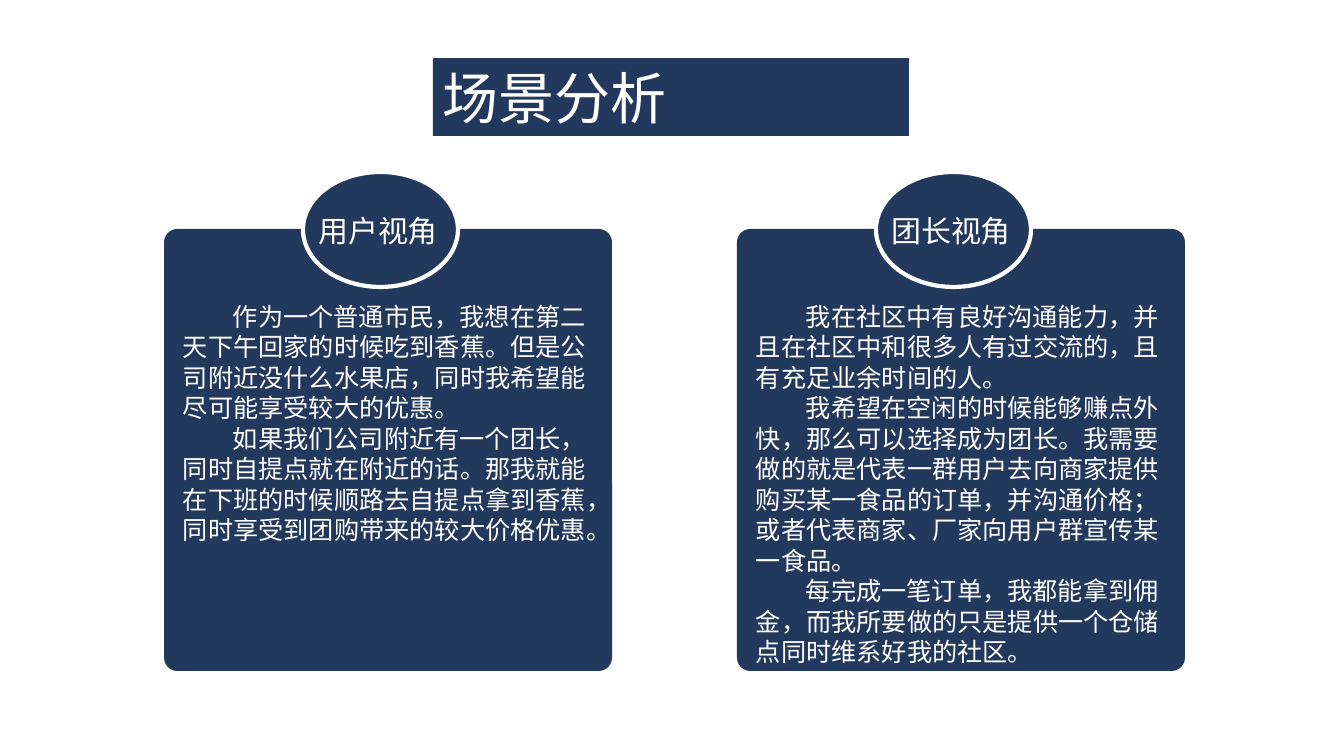
import pptx
import pptx.dml.color
import pptx.enum.shapes
import pptx.enum.text
import pptx.oxml
import pptx.oxml.ns
import pptx.util

NAVY = pptx.dml.color.RGBColor(0x22, 0x38, 0x5C)
WHITE = pptx.dml.color.RGBColor(0xFF, 0xFF, 0xFF)
SHAPE = pptx.enum.shapes.MSO_SHAPE
ALIGN = pptx.enum.text.PP_ALIGN

PANELS = [
    (164, "用户视角 ", 254, [
        "作为一个普通市民，我想在第二天下午回家的时候吃到香蕉。但是公司附近没什么水果店，同时我希望能尽可能享受较大的优惠。",
        "如果我们公司附近有一个团长，同时自提点就在附近的话。那我就能在下班的时候顺路去自提点拿到香蕉，同时享受到团购带来的较大价格优惠。",
    ]),
    (737, "团长视角 ", 376, [
        "我在社区中有良好沟通能力，并且在社区中和很多人有过交流的，且有充足业余时间的人。",
        "我希望在空闲的时候能够赚点外快，那么可以选择成为团长。我需要做的就是代表一群用户去向商家提供购买某一食品的订单，并沟通价格；或者代表商家、厂家向用户群宣传某一食品。",
        "每完成一笔订单，我都能拿到佣金，而我所要做的只是提供一个仓储点同时维系好我的社区。",
    ]),
]


def px(length):
    return round(length * 914400 / 100.8)


class SlideBuilder:
    font_name = "Noto Sans CJK SC"
    line_height = 1.21

    def __init__(self, slide):
        self.slide = slide

    def add_block(self, shapes, kind, left, top, width, height):
        shape = shapes.add_shape(kind, px(left), px(top), px(width), px(height))
        shape.shadow.inherit = False
        shape.fill.solid()
        shape.fill.fore_color.rgb = NAVY
        shape.line.fill.background()
        return shape

    def add_text_box(self, shapes, left, top, width, height, text, size, alignment, indent=0):
        shape = shapes.add_textbox(px(left), px(top), px(width), px(height))
        self.set_text(shape, text, size, alignment, indent)

    def set_text(self, shape, text, size, alignment, indent=0):
        text_frame = shape.text_frame
        text_frame.word_wrap = True
        text_frame.auto_size = pptx.enum.text.MSO_AUTO_SIZE.SHAPE_TO_FIT_TEXT
        text_frame.vertical_anchor = pptx.enum.text.MSO_ANCHOR.TOP
        text_frame.text = text
        for paragraph in text_frame.paragraphs:
            paragraph.alignment = alignment
            paragraph.line_spacing = pptx.util.Pt(size * self.line_height)
            if indent:
                paragraph._p.get_or_add_pPr().set("indent", str(px(indent)))
            for run in paragraph.runs:
                run.font.size = pptx.util.Pt(size)
                run.font.name = self.font_name
                run.font.color.rgb = WHITE
                east_asian = pptx.oxml.parse_xml(
                    f'<a:ea {pptx.oxml.ns.nsdecls("a")} typeface="{self.font_name}"/>')
                run.font._element.find(pptx.oxml.ns.qn("a:latin")).addnext(east_asian)

    def add_title(self, text):
        banner = self.add_block(self.slide.shapes, SHAPE.RECTANGLE, 433, 58, 476, 78)
        self.set_text(banner, text, 40, ALIGN.JUSTIFY)

    def add_panel(self, left, label, body_height, paragraphs):
        shapes = self.slide.shapes.add_group_shape().shapes
        card = self.add_block(shapes, SHAPE.ROUNDED_RECTANGLE, left, 229, 448, 442)
        card.adjustments[0] = 0.03
        badge = self.add_block(shapes, SHAPE.OVAL, left + 139, 172, 155, 115)
        badge.line.color.rgb = WHITE
        badge.line.width = pptx.util.Pt(3)
        self.add_text_box(shapes, left + 99, 207, 237, 46, label, 21.4, ALIGN.CENTER)
        self.add_text_box(shapes, left + 9, 296, 438, body_height,
                          "\n".join(paragraphs), 18, ALIGN.LEFT, indent=50)


def main():
    presentation = pptx.Presentation()
    presentation.slide_width = px(1344)
    presentation.slide_height = px(756)
    builder = SlideBuilder(presentation.slides.add_slide(presentation.slide_layouts[6]))
    builder.add_title("场景分析")
    for panel in PANELS:
        builder.add_panel(*panel)
    presentation.save("out.pptx")


if __name__ == "__main__":
    main()
